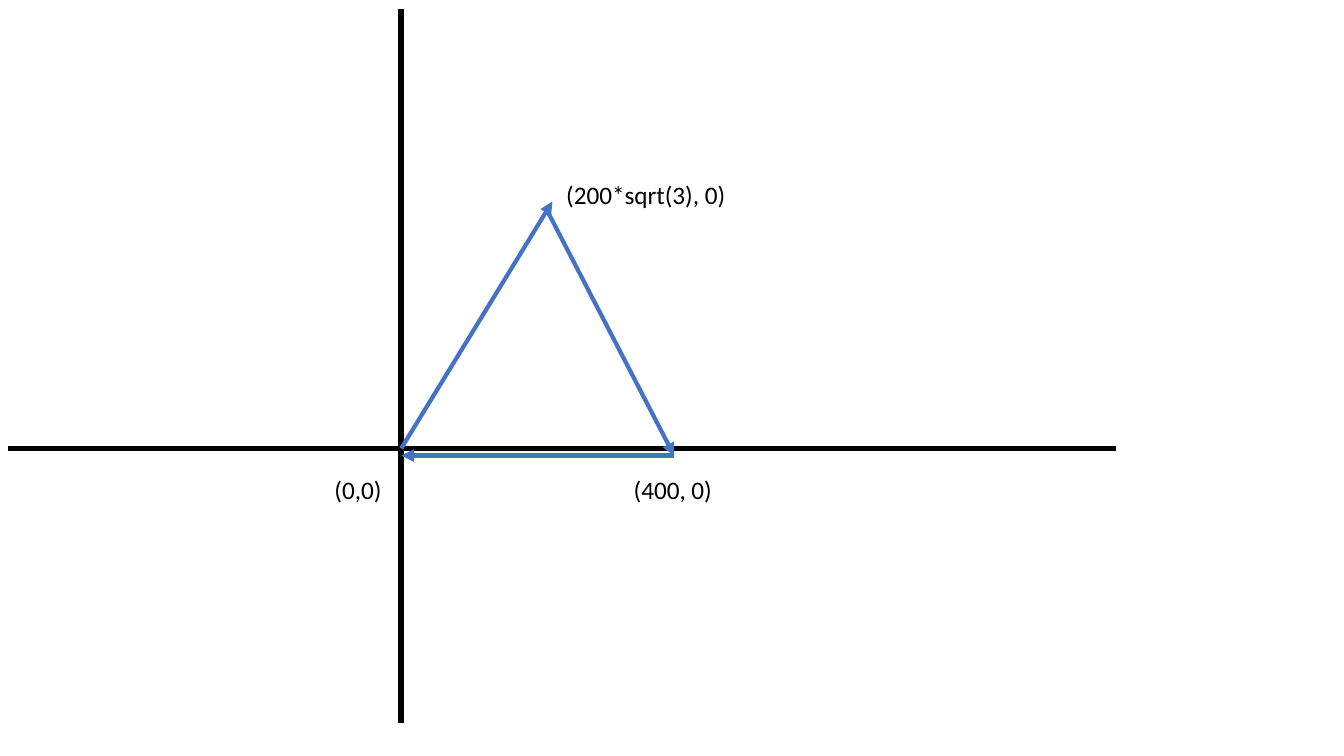
from dataclasses import dataclass

from lxml.etree import SubElement
from pptx import Presentation
from pptx.dml.color import RGBColor
from pptx.enum.shapes import MSO_CONNECTOR
from pptx.enum.text import MSO_AUTO_SIZE
from pptx.oxml.ns import qn
from pptx.util import Cm, Pt


@dataclass(frozen=True)
class Theme:
    ink: RGBColor = RGBColor(0x00, 0x00, 0x00)
    path_blue: RGBColor = RGBColor(0x44, 0x72, 0xC4)
    font: str = "Calibri"
    label_size: int = 18
    line_width: float = 3
    vertical_axis_width: float = 4.5


THEME = Theme()
BLANK_LAYOUT = 6
LABEL_HEIGHT = 1.02

# Key positions in centimetres
ORIGIN = (10.11, 11.3)
APEX = (13.92, 5.08)
DESCENT_START = (13.79, 5.31)
BASE_RIGHT = (16.99, 11.48)
BASE_LEFT = (ORIGIN[0], BASE_RIGHT[1])
BASE_LABEL_TOP = 11.84


def add_line(slide, start, end, color, width):
    """Draw a straight line between two points given in centimetres."""
    line = slide.shapes.add_connector(
        MSO_CONNECTOR.STRAIGHT, *(Cm(value) for value in (*start, *end)))
    line.line.color.rgb = color
    line.line.width = Pt(width)
    SubElement(line._element.spPr, qn("a:effectLst"))
    return line


def add_arrow(slide, start, end):
    """Draw one side of the triangle with an arrowhead at its end."""
    side = add_line(slide, start, end, THEME.path_blue, THEME.line_width)
    SubElement(side.line._get_or_add_ln(), qn("a:tailEnd"), type="triangle")


def add_label(slide, text, left, top, width):
    """Write a coordinate label on a single line."""
    label = slide.shapes.add_textbox(
        Cm(left), Cm(top), Cm(width), Cm(LABEL_HEIGHT))
    frame = label.text_frame
    frame.word_wrap = False
    frame.auto_size = MSO_AUTO_SIZE.SHAPE_TO_FIT_TEXT
    run = frame.paragraphs[0].add_run()
    run.text = text
    run.font.name = THEME.font
    run.font.size = Pt(THEME.label_size)
    run.font.color.rgb = THEME.ink


def main():
    deck = Presentation()
    deck.slide_width, deck.slide_height = Cm(33.87), Cm(19.05)
    slide = deck.slides.add_slide(deck.slide_layouts[BLANK_LAYOUT])

    # Coordinate axes
    origin_x, origin_y = ORIGIN
    add_line(slide, (0.2, origin_y), (28.12, origin_y),
             THEME.ink, THEME.line_width)
    add_line(slide, (origin_x, 0.23), (origin_x, 18.21),
             THEME.ink, THEME.vertical_axis_width)

    # Triangle path: up, down and back to the vertical axis
    for start, end in ((ORIGIN, APEX),
                       (DESCENT_START, BASE_RIGHT),
                       (BASE_RIGHT, BASE_LEFT)):
        add_arrow(slide, start, end)

    # Corner coordinates
    for text, left, top, width in (
            ("(0,0)", 8.18, BASE_LABEL_TOP, 1.73),
            ("(200*sqrt(3), 0)", 14.02, 4.39, 4.57),
            ("(400, 0)", 15.72, BASE_LABEL_TOP, 2.51)):
        add_label(slide, text, left, top, width)

    deck.save("out.pptx")


main()
